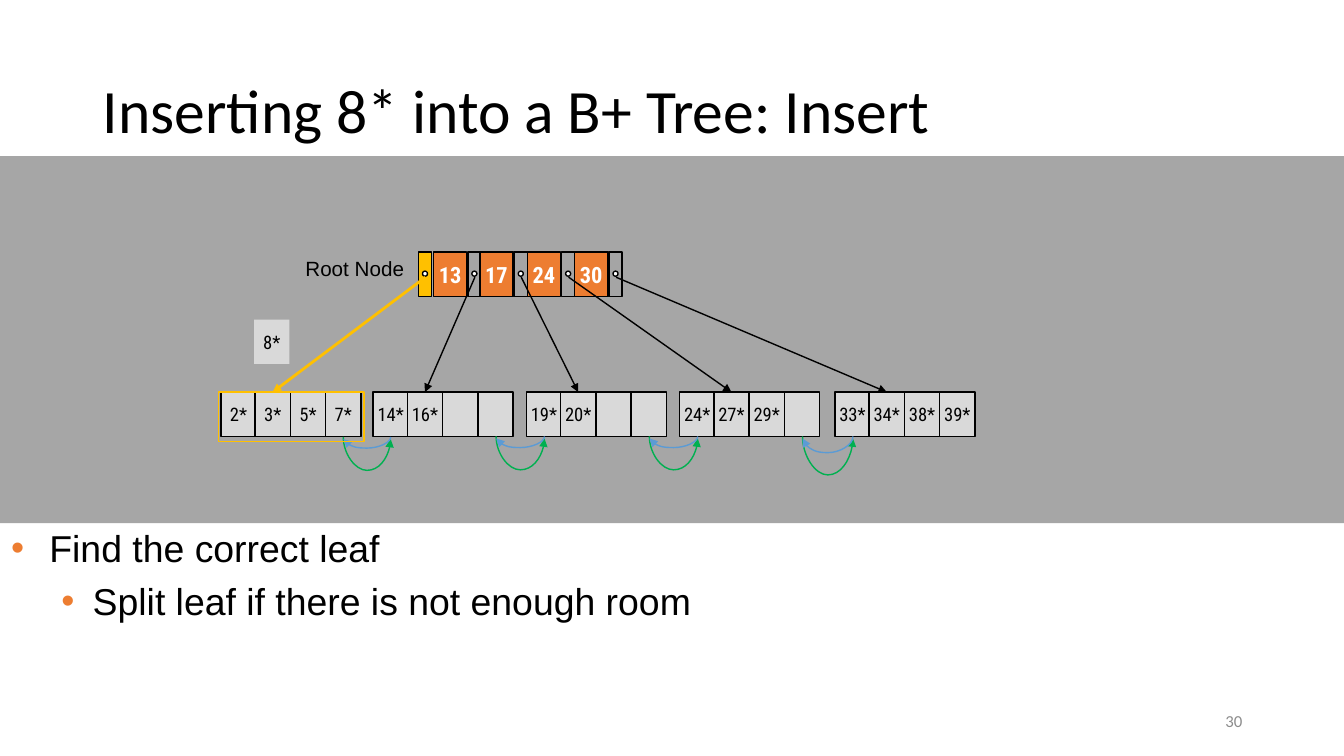
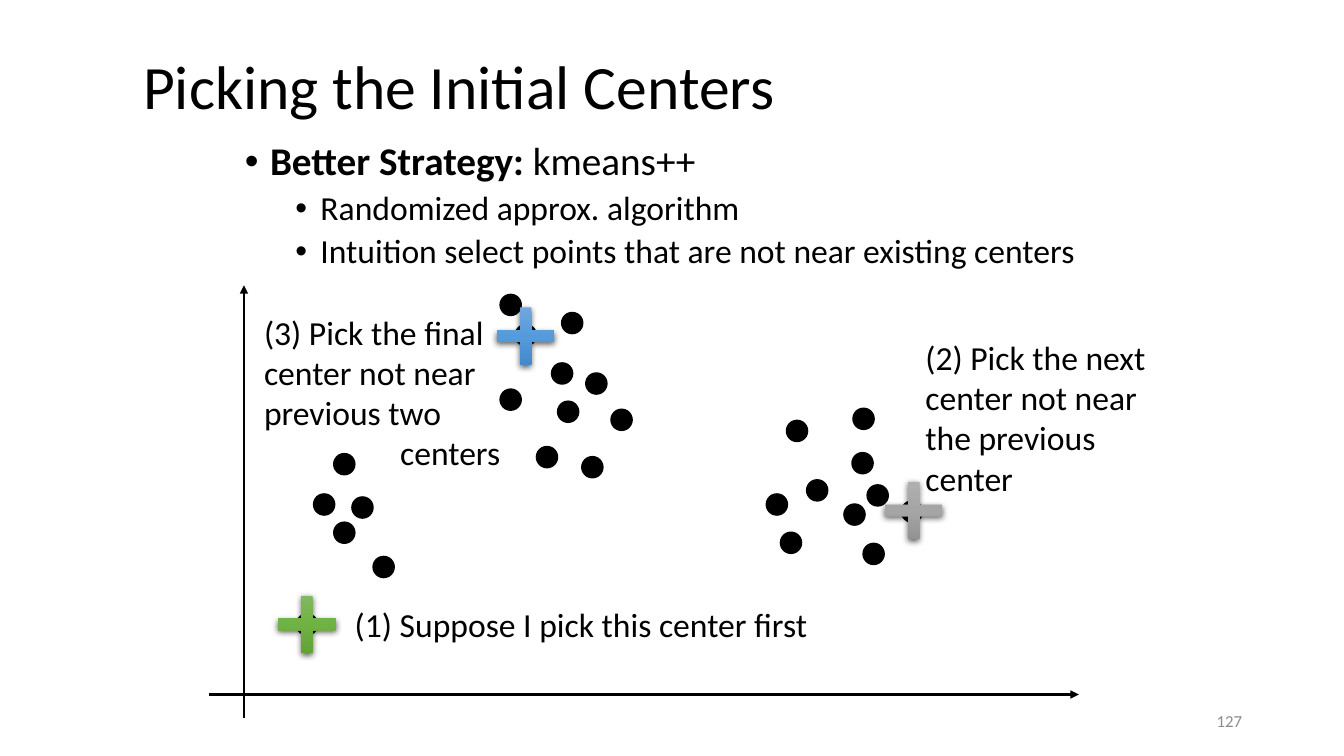
from copy import deepcopy

from lxml.etree import SubElement
from pptx import Presentation
from pptx.dml.color import RGBColor
from pptx.enum.shapes import MSO_CONNECTOR, MSO_SHAPE
from pptx.enum.text import MSO_ANCHOR, MSO_AUTO_SIZE, PP_ALIGN
from pptx.oxml.ns import qn
from pptx.util import Pt

PX = 9144
COLORS = {
    "black": "000000", "white": "FFFFFF", "band": "A6A6A6", "pointer": "A5A5A5",
    "orange": "ED7D31", "gold": "FFC000", "leaf": "D9D9D9", "green": "00B050",
    "blue": "5B9BD5", "page": "8C8C8C",
}
GRADIENTS = {
    "green": ("81B861", "6FB242", "62A336"),
    "gray": ("AFAFAF", "A5A5A5", "939393"),
    "blue": ("71A6DB", "559BDB", "448ACA"),
}


def rgb(name):
    return RGBColor.from_string(COLORS[name])


class Deck:
    def __init__(self):
        self.prs = Presentation()
        self.prs.slide_width = 1333 * PX
        self.prs.slide_height = 750 * PX
        self.s = None

    def style(self, p, size, color="black", font="Calibri", bold=False):
        for r in p.runs:
            r.font.size = Pt(size)
            r.font.name = font
            r.font.bold = bold
            r.font.color.rgb = rgb(color)

    def frame(self, tf, insets=(10, 5), anchor=MSO_ANCHOR.TOP, wrap=True):
        tf.margin_left = tf.margin_right = insets[0] * PX
        tf.margin_top = tf.margin_bottom = insets[1] * PX
        tf.vertical_anchor = anchor
        tf.word_wrap = wrap
        tf.auto_size = MSO_AUTO_SIZE.NONE

    def slide(self, title, x, y, w, page):
        self.s = self.prs.slides.add_slide(self.prs.slide_layouts[5])
        sp = self.s.shapes.title
        sp.left, sp.top, sp.width, sp.height = x * PX, y * PX, w * PX, 145 * PX
        sp.text_frame.text = title
        self.frame(sp.text_frame, anchor=MSO_ANCHOR.MIDDLE)
        p = sp.text_frame.paragraphs[0]
        p.alignment = PP_ALIGN.LEFT
        p.line_spacing = 0.9
        self.style(p, 44)
        tf = self.text(942, 695, 300, 40, [page], 12, color="page", anchor=MSO_ANCHOR.MIDDLE)
        tf.paragraphs[0].alignment = PP_ALIGN.RIGHT

    def text(self, x, y, w, h, lines, size, font="Calibri", color="black", **frame):
        tf = self.s.shapes.add_textbox(x * PX, y * PX, w * PX, h * PX).text_frame
        self.frame(tf, **frame)
        for i, line in enumerate(lines):
            p = tf.add_paragraph() if i else tf.paragraphs[0]
            p.text = line
            self.style(p, size, color, font)
        return tf

    def bullet(self, p, left, hang, level=0, before=0, color=None):
        p.level = level
        pPr = p._p.get_or_add_pPr()
        pPr.set("marL", str(left * PX))
        pPr.set("indent", str(-hang * PX))
        if color:
            clr = SubElement(pPr, qn("a:buClr"))
            SubElement(clr, qn("a:srgbClr"), val=COLORS[color])
        SubElement(pPr, qn("a:buFont"), typeface="Arial")
        SubElement(pPr, qn("a:buChar"), char="•")
        if before:
            p.space_before = Pt(before)

    def shape(self, x, y, w, h, fill=None, line=None, kind=MSO_SHAPE.RECTANGLE):
        sp = self.s.shapes.add_shape(kind, x * PX, y * PX, w * PX, h * PX)
        sp.shadow.inherit = False
        if fill:
            sp.fill.solid()
            sp.fill.fore_color.rgb = rgb(fill)
        else:
            sp.fill.background()
        if line:
            sp.line.color.rgb = rgb(line)
            sp.line.width = Pt(1)
        else:
            sp.line.fill.background()
        return sp

    def cell(self, x, y, w, label, size=13.3, fill="leaf", line="black", color="black", bold=False):
        sp = self.shape(x, y, w, 44, fill, line)
        if label:
            self.frame(sp.text_frame, (0, 5), MSO_ANCHOR.MIDDLE)
            sp.text_frame.text = label
            p = sp.text_frame.paragraphs[0]
            p.alignment = PP_ALIGN.CENTER
            self.style(p, size, color, "Roboto Condensed", bold)
        return sp

    def dot(self, x, y, size, fill="black"):
        return self.shape(x, y, size, size, fill, "black", MSO_SHAPE.OVAL)

    def pointer(self, x, fill):
        self.shape(x, 250, 13, 44, fill, "black")
        self.dot(x + 4, 269, 5, "white")

    def arrow(self, x1, y1, x2, y2, color="black", width=1, kind=MSO_CONNECTOR.STRAIGHT):
        c = self.s.shapes.add_connector(kind, x1 * PX, y1 * PX, x2 * PX, y2 * PX)
        c.line.color.rgb = rgb(color)
        c.line.width = Pt(width)
        spPr = c.element.spPr
        SubElement(spPr.find(qn("a:ln")), qn("a:tailEnd"), type="triangle")
        SubElement(spPr, qn("a:effectLst"))
        return c

    def arc(self, x1, x2, depth, color):
        span = abs(x2 - x1)
        mid, top = (x1 + x2) // 2, 434 - span // 2
        forward = x2 > x1
        ends = (mid + 1, mid - 1) if forward else (mid - 1, mid + 1)
        c = self.arrow(ends[0], top, ends[1], top + span, color, kind=MSO_CONNECTOR.CURVE)
        spPr = c.element.spPr
        spPr.find(qn("a:xfrm")).set("rot", str((270 if forward else 90) * 60000))
        geom = spPr.find(qn("a:prstGeom"))
        guides = geom.find(qn("a:avLst"))
        if guides is None:
            guides = SubElement(geom, qn("a:avLst"))
        SubElement(guides, qn("a:gd"), name="adj1", fmla=f"val {depth * 50000}")

    def plus(self, x, y, color):
        sp = self.shape(x, y, 57, 57, kind=MSO_SHAPE.CROSS)
        sp.adjustments[0] = 0.4
        sp.fill.gradient()
        sp.fill.gradient_angle = 270
        stops = sp.element.spPr.find(".//" + qn("a:gsLst"))
        stops.append(deepcopy(stops[0]))
        for i, (stop, value) in enumerate(zip(sp.fill.gradient_stops, GRADIENTS[color])):
            stop.position = i / 2
            stop.color.rgb = RGBColor.from_string(value)
        effects = sp.element.spPr.find(qn("a:effectLst"))
        shadow = SubElement(effects, qn("a:outerShdw"), blurRad="57150", dist="19050",
                            dir="5400000", algn="ctr", rotWithShape="0")
        clr = SubElement(shadow, qn("a:srgbClr"), val=COLORS["black"])
        SubElement(clr, qn("a:alpha"), val="63000")


def tree_slide(d):
    d.slide("Inserting 8* into a B+ Tree: Insert", 92, 40, 1150, "30")
    d.shape(0, 155, 1333, 364, "band")

    pointers = [415]
    d.pointer(415, "gold")
    for i, key in enumerate(("13", "17", "24", "30")):
        step = i * 140 // 3
        d.cell(430 + step, 250, 33, key, 16, "orange", color="white", bold=True)
        pointers.append(464 + step)
        d.pointer(464 + step, "pointer")
    d.text(293, 249, 119, 35, ["Root Node"], 14.7, "Arial", wrap=False)

    leaves = {
        219: ("2*", "3*", "5*", "7*"),
        370: ("14*", "16*", "", ""),
        522: ("19*", "20*", "", ""),
        674: ("24*", "27*", "29*", ""),
        828: ("33*", "34*", "38*", "39*"),
    }
    for pointer, (left, labels) in zip(pointers, leaves.items()):
        cells = [d.cell(left + i * 104 // 3, 389, 35, label) for i, label in enumerate(labels)]
        color, width = ("gold", 2) if left == 219 else ("black", 1)
        c = d.arrow(pointer + 7, 275, left + 52, 389, color, width)
        c.end_connect(cells[1], 0)

    lefts = list(leaves)
    for left, right, extra in zip(lefts, lefts[1:], (0, 0, 0, 5)):
        last, first = left + 122, right + 18
        d.arc(last, first, 33 + extra, "green")
        d.arc(first, last, 11 + extra, "blue")

    d.shape(217, 389, 144, 49, line="gold")
    d.cell(252, 317, 35, "8*", line=None)
    tf = d.text(-2, 514, 1200, 236, ["Find the correct leaf", "Split leaf if there is not enough room"],
                26.7, "Arial", insets=(13, 7))
    d.bullet(tf.paragraphs[0], 38, 38, color="orange")
    d.bullet(tf.paragraphs[1], 81, 31, 1, 6, "orange")


def centers_slide(d):
    d.slide("Picking the Initial Centers", 132, 16, 862, "127")
    tf = d.text(233, 136, 862, 153, [
        "Better Strategy: ",
        "Randomized approx. algorithm",
        "Intuition select points that are not near existing centers",
    ], 24)
    head, *details = tf.paragraphs
    head.add_run().text = "kmeans++"
    d.style(head, 28)
    head.runs[0].font.bold = True
    d.bullet(head, 25, 25)
    for p in details:
        d.bullet(p, 75, 25, 1, 5)
    for p in tf.paragraphs:
        p.line_spacing = 0.9

    d.arrow(207, 689, 1070, 689, width=1.5)
    d.arrow(242, 712, 242, 283, width=1.5)

    clusters = (
        ((311, 490), (294, 609), (349, 493), (331, 450), (370, 552), (331, 518)),
        ((845, 449), (800, 476), (774, 528), (760, 490), (856, 539),
         (780, 417), (837, 500), (894, 497), (846, 405), (860, 481)),
        ((553, 398), (547, 360), (532, 443), (496, 386), (581, 370),
         (557, 310), (496, 292), (606, 406), (577, 453), (511, 322)),
    )
    for cluster in clusters:
        for x, y in cluster:
            d.dot(x, y, 21)

    d.plus(276, 591, "green")
    d.text(342, 594, 473, 50, ["(1) Suppose I pick this center first"], 24, wrap=False)
    d.plus(878, 478, "gray")
    d.text(908, 329, 304, 172, ["(2) Pick the next center not near\vthe previous\vcenter"], 24)
    d.plus(493, 305, "blue")
    tf = d.text(252, 304, 279, 172, ["(3) Pick the final center not near previous two", "centers"], 24)
    tf.paragraphs[1]._p.get_or_add_pPr().set("marL", str(135 * PX))


def main():
    d = Deck()
    tree_slide(d)
    centers_slide(d)
    d.prs.save("out.pptx")


if __name__ == "__main__":
    main()
